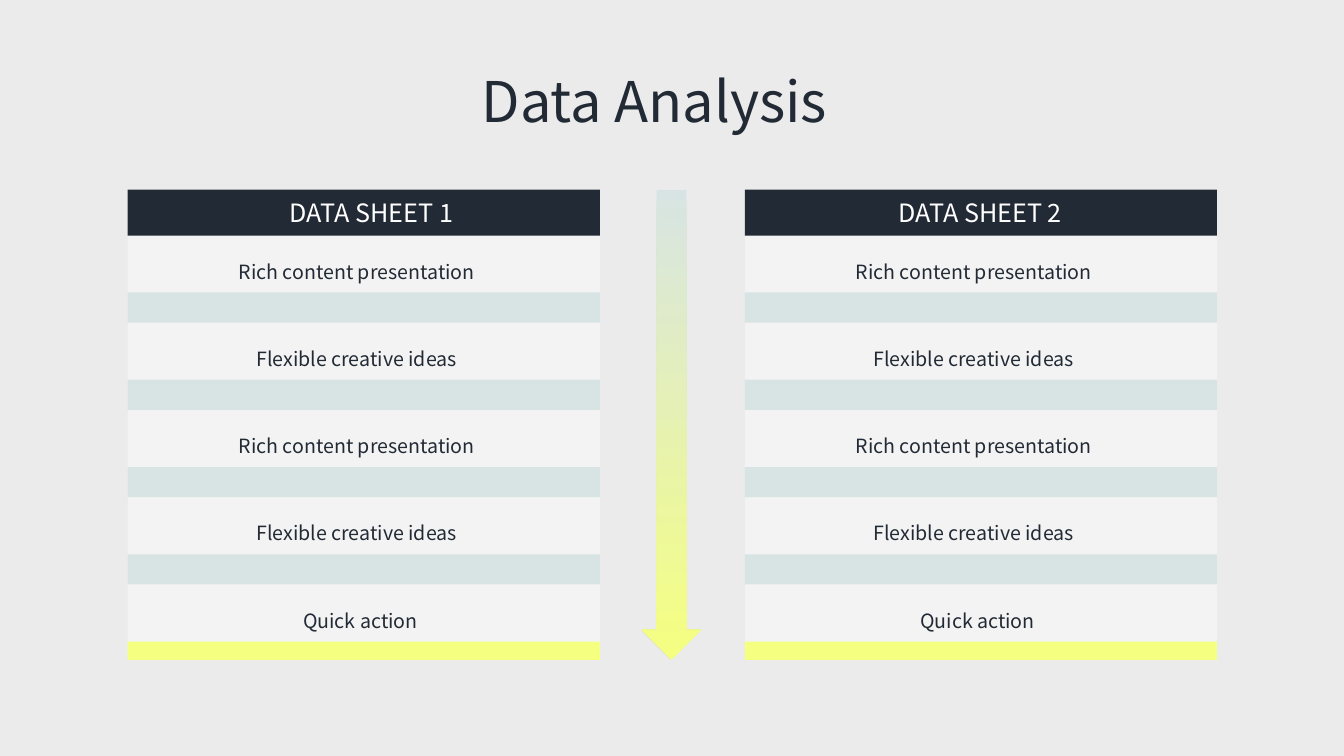
from dataclasses import dataclass

from lxml.etree import SubElement
from pptx import Presentation
from pptx.dml.color import RGBColor
from pptx.enum.shapes import MSO_SHAPE
from pptx.enum.text import MSO_AUTO_SIZE, PP_ALIGN
from pptx.oxml.ns import qn
from pptx.util import Cm, Pt

# Content
TITLE = "Data Analysis"
SHEETS = [  # heading, panel left, heading left, heading width
    ("DATA SHEET 1", 3.22, 6.48, 5.76),
    ("DATA SHEET 2", 18.77, 22.05, 5.3),
]
ROWS = [  # label, box width
    ("Rich content presentation", 6.81),
    ("Flexible creative ideas", 5.92),
    ("Rich content presentation", 6.81),
    ("Flexible creative ideas", 5.92),
    ("Quick action", 3.56),
]


@dataclass(frozen=True)
class Theme:
    font: str = "Noto Sans CJK SC"
    page: str = "EBEBEB"
    dark: str = "222A35"
    white: str = "FFFFFF"
    mist: str = "D7E4E3"
    lemon: str = "F5FF80"
    title_size: int = 40
    heading_size: int = 18
    row_size: int = 14


THEME = Theme()

# Layout, in centimetres
PANEL_TOP, PANEL_WIDTH, PANEL_HEIGHT = 4.78, 11.9, 11.84
HEADER_HEIGHT = 1.16
ROW_TOP, ROW_HEIGHT, ROW_PITCH = 5.82, 1.3, 2.2
BAR_TOP, BAR_HEIGHT, LAST_BAR_HEIGHT = 7.37, 0.76, 0.46
ARROW_CENTER, ARROW_THICKNESS = 16.92, 1.5


def add_rectangle(shapes, left, top, width, height, color, opacity=100):
    box = shapes.add_shape(MSO_SHAPE.RECTANGLE, Cm(left), Cm(top), Cm(width), Cm(height))
    box.shadow.inherit = False
    box.line.fill.background()
    box.fill.solid()
    box.fill.fore_color.rgb = RGBColor.from_string(color)
    if opacity < 100:
        color_node = next(box._element.spPr.iter(qn("a:srgbClr")))
        SubElement(color_node, qn("a:alpha"), val=str(opacity * 1000))


def add_text(page, text, left, top, width, height, *, size,
             color=THEME.dark, align=PP_ALIGN.LEFT, spacing=None):
    box = page.shapes.add_textbox(Cm(left), Cm(top), Cm(width), Cm(height))
    frame = box.text_frame
    frame.word_wrap = True
    frame.auto_size = MSO_AUTO_SIZE.SHAPE_TO_FIT_TEXT
    para = frame.paragraphs[0]
    para.alignment = align
    para.line_spacing = spacing
    span = para.add_run()
    span.text = text
    span.font.name = THEME.font
    span.font.size = Pt(size)
    span.font.color.rgb = RGBColor.from_string(color)


def add_sheet(page, heading, left, heading_left, heading_width):
    add_rectangle(page.shapes, left, PANEL_TOP, PANEL_WIDTH, PANEL_HEIGHT,
                  THEME.white, opacity=40)

    # Header and divider bars
    bars = page.shapes.add_group_shape().shapes
    add_rectangle(bars, left, PANEL_TOP, PANEL_WIDTH, HEADER_HEIGHT, THEME.dark)
    for index in range(len(ROWS)):
        last = index == len(ROWS) - 1
        add_rectangle(bars, left, BAR_TOP + index * ROW_PITCH, PANEL_WIDTH,
                      LAST_BAR_HEIGHT if last else BAR_HEIGHT,
                      THEME.lemon if last else THEME.mist)

    # Row labels, each box centred on the panel
    for index, (label, width) in enumerate(ROWS):
        add_text(page, label, left + (PANEL_WIDTH - width) / 2,
                 ROW_TOP + index * ROW_PITCH, width, ROW_HEIGHT,
                 size=THEME.row_size, spacing=2.0)

    add_text(page, heading, heading_left, 4.85, heading_width, 1.02,
             size=THEME.heading_size, color=THEME.white, align=PP_ALIGN.CENTER)


def add_arrow(page):
    middle = PANEL_TOP + PANEL_HEIGHT / 2
    arrow = page.shapes.add_shape(
        MSO_SHAPE.RIGHT_ARROW,
        Cm(ARROW_CENTER - PANEL_HEIGHT / 2), Cm(middle - ARROW_THICKNESS / 2),
        Cm(PANEL_HEIGHT), Cm(ARROW_THICKNESS))
    arrow.rotation = 90
    arrow.shadow.inherit = False
    arrow.line.fill.background()
    arrow.fill.gradient()
    arrow.fill.gradient_angle = 0
    for stop, color in zip(arrow.fill.gradient_stops, (THEME.mist, THEME.lemon)):
        stop.color.rgb = RGBColor.from_string(color)


def main():
    deck = Presentation()
    deck.slide_width, deck.slide_height = Cm(33.87), Cm(19.05)
    page = deck.slides.add_slide(deck.slide_layouts[6])
    page.background.fill.solid()
    page.background.fill.fore_color.rgb = RGBColor.from_string(THEME.page)

    for sheet in SHEETS:
        add_sheet(page, *sheet)
    add_arrow(page)
    add_text(page, TITLE, 11.89, 1.55, 10.06, 1.96, size=THEME.title_size)
    deck.save("out.pptx")


if __name__ == "__main__":
    main()
